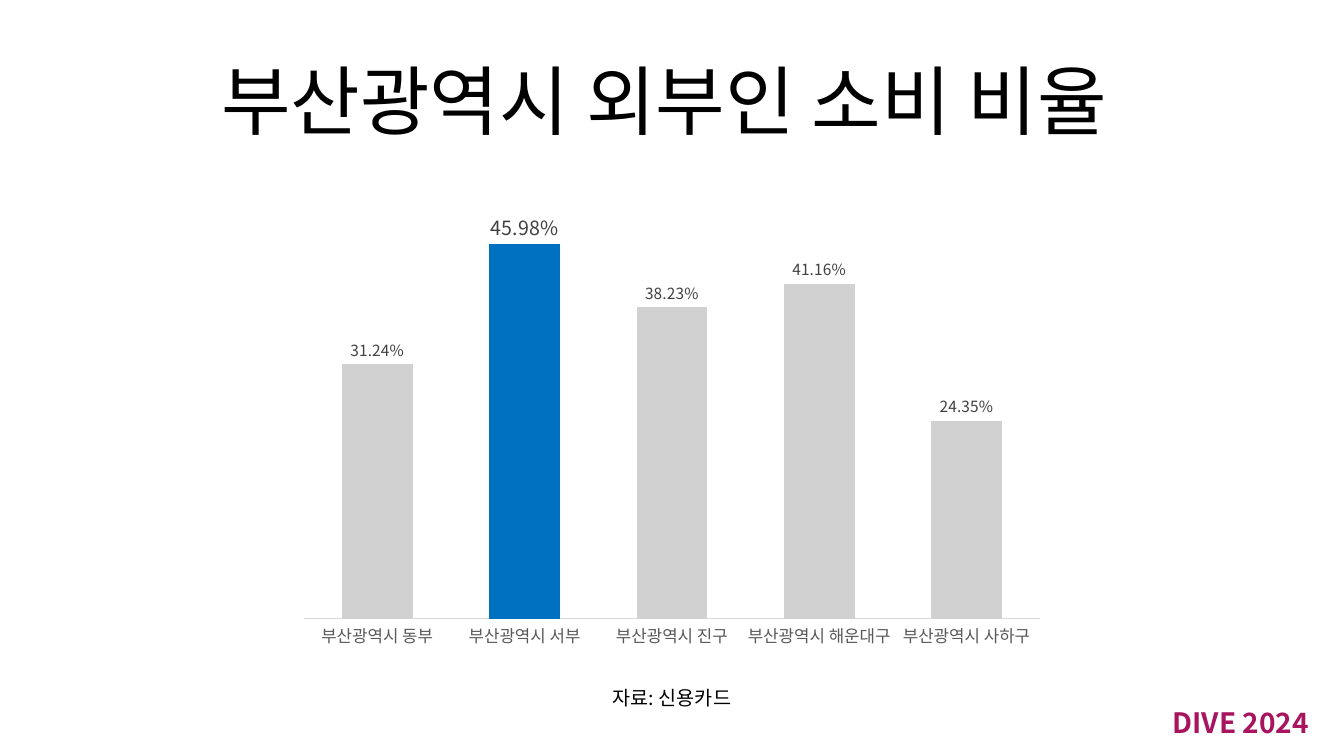
from lxml.etree import SubElement
from pptx import Presentation
from pptx.chart.data import CategoryChartData
from pptx.dml.color import RGBColor
from pptx.enum.chart import XL_CHART_TYPE, XL_LABEL_POSITION, XL_TICK_LABEL_POSITION, XL_TICK_MARK
from pptx.enum.text import MSO_ANCHOR, MSO_AUTO_SIZE, PP_ALIGN
from pptx.oxml.ns import qn
from pptx.util import Inches, Pt

FONT = "Noto Sans CJK KR"
SPENDING_SHARES = {
    "부산광역시 동부": 31.24,
    "부산광역시 서부": 45.98,
    "부산광역시 진구": 38.23,
    "부산광역시 해운대구": 41.16,
    "부산광역시 사하구": 24.35,
}
HIGHLIGHT = 1


def color(hex_value):
    return RGBColor.from_string(hex_value)


def set_values(target, values):
    for name, value in values.items():
        setattr(target, name, value)


def format_font(font, size, hex_value, bold=False):
    """Set size, weight, colour and both the Latin and the Korean typeface."""
    set_values(font, {"name": FONT, "size": Pt(size), "bold": bold})
    font.color.rgb = color(hex_value)
    SubElement(font._element, qn("a:ea")).set("typeface", FONT)


def fill_solid(target, hex_value):
    target.format.fill.solid()
    target.format.fill.fore_color.rgb = color(hex_value)


def write_text(box, text, size, hex_value="000000", bold=False):
    """Fill a box with one centred line."""
    set_values(box.text_frame, {"word_wrap": True, "auto_size": MSO_AUTO_SIZE.NONE})
    para = box.text_frame.paragraphs[0]
    para.alignment = PP_ALIGN.CENTER
    span = para.add_run()
    span.text = text
    format_font(span.font, size, hex_value, bold)
    return para


def add_text(page, text, left, top, width, height, size, **style):
    box = page.shapes.add_textbox(Inches(left), Inches(top), Inches(width), Inches(height))
    write_text(box, text, size, **style)


def set_title(page, text):
    title = page.shapes.title
    set_values(title, {"left": Inches(0.92), "top": Inches(0.32),
                       "width": Inches(11.5), "height": Inches(1.45)})
    para = write_text(title, text, 54)
    para.line_spacing = 0.9
    title.text_frame.vertical_anchor = MSO_ANCHOR.MIDDLE


def format_axes(chart):
    set_values(chart.value_axis, {"visible": False, "has_major_gridlines": False,
                                  "minimum_scale": 0, "maximum_scale": 50})
    axis = chart.category_axis
    set_values(axis, {"major_tick_mark": XL_TICK_MARK.NONE,
                      "minor_tick_mark": XL_TICK_MARK.NONE,
                      "tick_label_position": XL_TICK_LABEL_POSITION.NEXT_TO_AXIS,
                      "has_major_gridlines": False})
    axis.format.line.color.rgb = color("D9D9D9")
    axis.format.line.width = Pt(0.75)
    format_font(axis.tick_labels.font, 12, "595959")


def add_spending_chart(page):
    data = CategoryChartData()
    data.categories = SPENDING_SHARES.keys()
    data.add_series("외부인 소비 비율", SPENDING_SHARES.values())
    chart = page.shapes.add_chart(XL_CHART_TYPE.COLUMN_CLUSTERED, Inches(2.86), Inches(2.01),
                                  Inches(7.61), Inches(4.51), data).chart
    set_values(chart, {"has_legend": False, "has_title": False})
    format_font(chart.font, 10, "000000")
    format_axes(chart)

    plot = chart.plots[0]
    set_values(plot, {"gap_width": 108, "overlap": -27, "vary_by_categories": False})
    series = plot.series[0]
    fill_solid(series, "D1D1D1")
    labels = series.data_labels
    set_values(labels, {"show_value": True, "number_format": '#.##"%"',
                        "number_format_is_linked": False,
                        "position": XL_LABEL_POSITION.OUTSIDE_END})
    format_font(labels.font, 11, "404040")

    point = series.points[HIGHLIGHT]
    fill_solid(point, "0070C0")
    format_font(point.data_label.font, 14, "404040")
    point.data_label.position = XL_LABEL_POSITION.OUTSIDE_END


def main():
    deck = Presentation()
    set_values(deck, {"slide_width": Inches(13.33), "slide_height": Inches(7.5)})
    page = deck.slides.add_slide(deck.slide_layouts[5])
    set_title(page, "부산광역시 외부인 소비 비율 ")
    add_spending_chart(page)
    add_text(page, "자료: 신용카드", 4.76, 6.76, 3.81, 0.34, 14)
    add_text(page, "DIVE 2024", 11.38, 6.95, 1.85, 0.44, 20, hex_value="A8145E", bold=True)
    deck.save("out.pptx")


if __name__ == "__main__":
    main()
